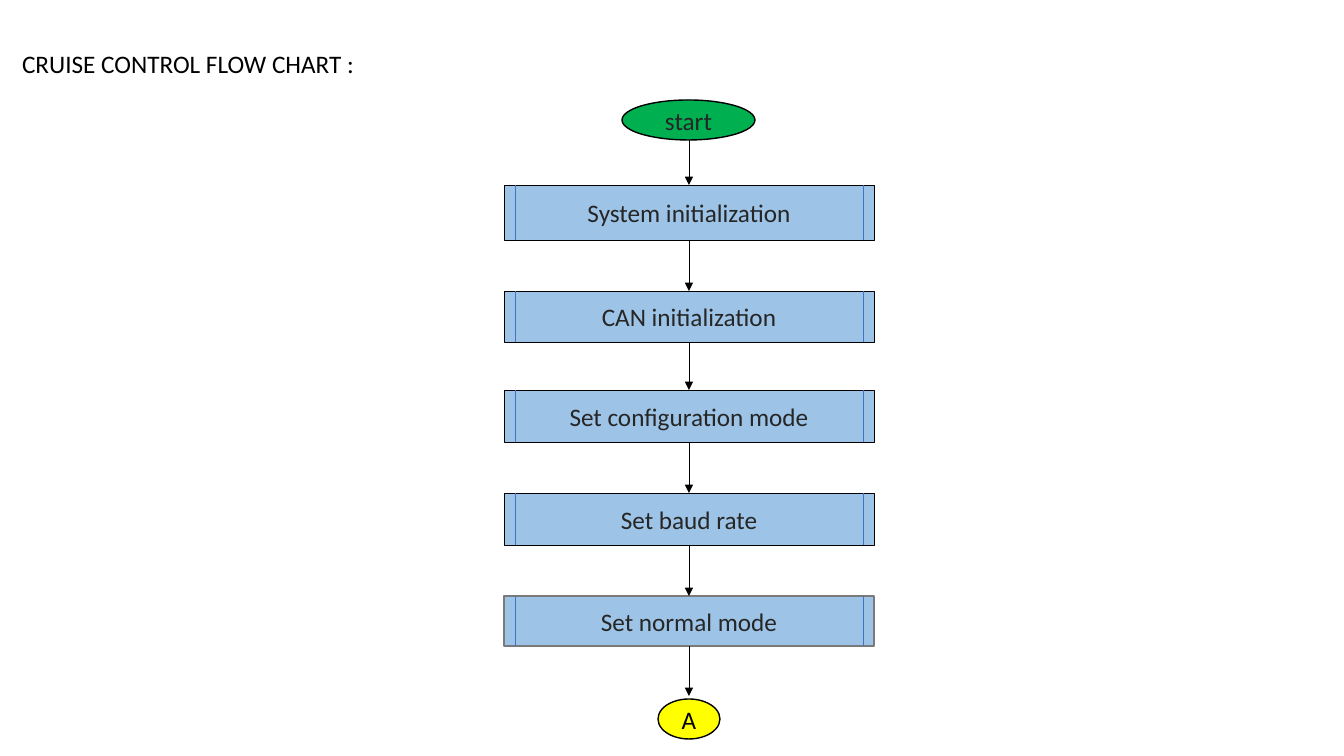
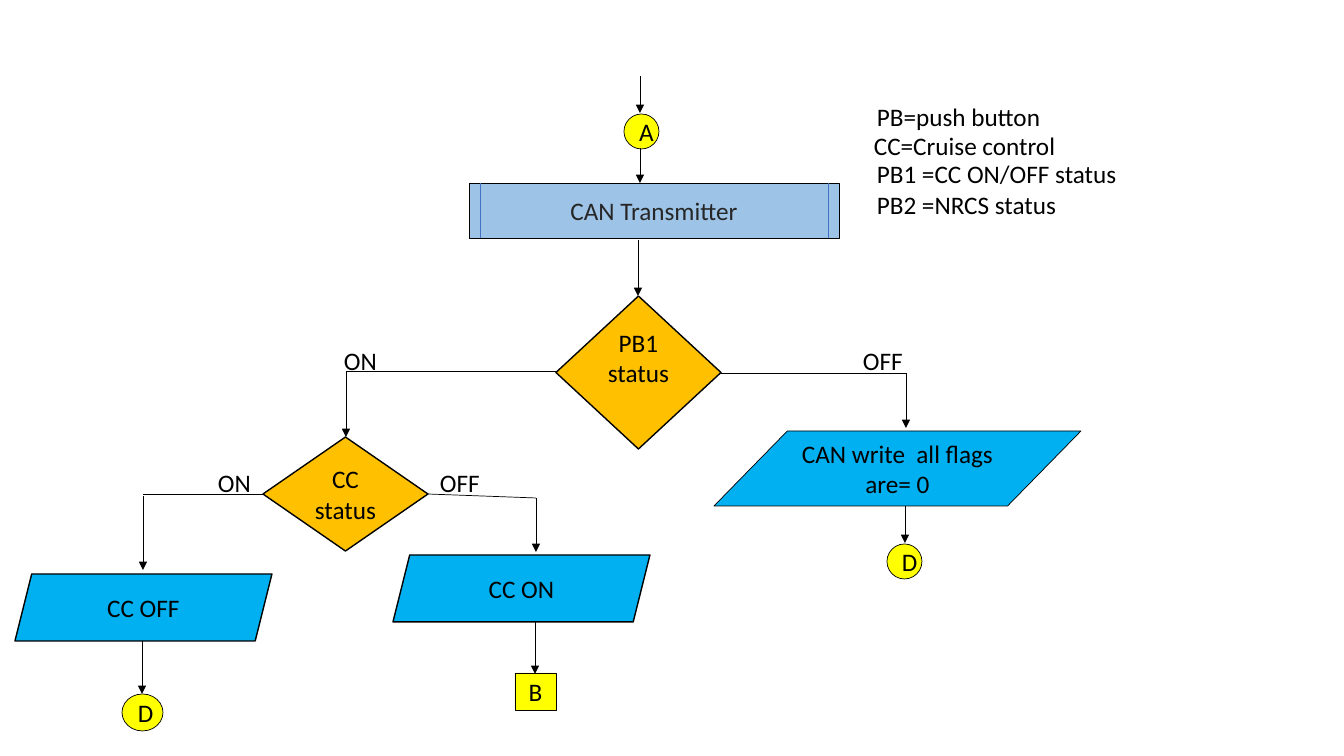
from lxml import etree
from pptx import Presentation
from pptx.dml.color import RGBColor
from pptx.enum.shapes import MSO_CONNECTOR, MSO_SHAPE as Kind
from pptx.enum.text import MSO_ANCHOR as Anchor, MSO_AUTO_SIZE as AutoSize, PP_ALIGN as Align
from pptx.oxml.ns import qn
from pptx.util import Emu, Pt

PIXEL = 914400 / 100.8
FONT, SIZE = "Calibri", 18
COLORS = {
    "black": "000000", "ink": "262626", "gray": "7A7A7A", "bar": "4472C4",
    "step": "9DC3E6", "start": "00B050", "mark": "FFFF00",
    "choice": "FFC000", "action": "00B0F0",
}
COLORS = {name: RGBColor.from_string(value) for name, value in COLORS.items()}

# Node styles: preset shape, fill, text colour
STYLES = {
    "step": (Kind.FLOWCHART_PROCESS, "step", "ink"),
    "start": (Kind.OVAL, "start", "ink"),
    "mark": (Kind.OVAL, "mark", "black"),
    "square mark": (Kind.RECTANGLE, "mark", "black"),
    "choice": (Kind.DIAMOND, "choice", "black"),
    "output": (Kind.FLOWCHART_DATA, "action", "black"),
    "action": (Kind.PARALLELOGRAM, "action", "black"),
}
BAR_INSET = 11


def write(box, at, text, align, anchor, color):
    """Place a box and fill it with one paragraph per line of text."""
    box.left, box.top, box.width, box.height = (Emu(round(n * PIXEL)) for n in at)
    frame = box.text_frame
    frame.word_wrap = True
    frame.auto_size = AutoSize.NONE
    frame.vertical_anchor = anchor
    for index, line in enumerate(text.split("\n")):
        para = frame.add_paragraph() if index else frame.paragraphs[0]
        para.alignment = align
        span = para.add_run()
        span.text = line
        span.font.name, span.font.size = FONT, Pt(SIZE)
        span.font.color.rgb = COLORS[color]


def connect(page, ends, color="black", arrow=True):
    """Draw a thin straight line, with an arrowhead at its end if asked."""
    line = page.shapes.add_connector(
        MSO_CONNECTOR.STRAIGHT, *(Emu(round(n * PIXEL)) for n in ends))
    line.line.width = Pt(0.5)
    line.line.color.rgb = COLORS[color]
    if arrow:
        etree.SubElement(line.line._get_or_add_ln(), qn("a:tailEnd"), type="triangle")
    etree.SubElement(line._element.spPr, qn("a:effectLst"))


# Slide 1: a column of steps around one centre line
CENTER, STEP_WIDTH = 689, 370
STEPS = [
    ("System initialization", 185, 55, "black", 0.5),
    ("CAN initialization", 291, 51, "black", 0.5),
    ("Set configuration mode", 390, 52, "black", 0.5),
    ("Set baud rate", 493, 52, "black", 0.5),
    ("Set normal mode", 596, 50, "gray", 1),
]
setup_nodes = [("start", "start", (622, 100, 133, 40), "black", 1)]
setup_nodes += [("step", text, (CENTER - STEP_WIDTH // 2, top, STEP_WIDTH, height), edge, weight)
                for text, top, height, edge, weight in STEPS]
setup_nodes.append(("mark", "A", (658, 699, 62, 40), "black", 1))
setup_arrows = []
bottom = 140
for text, top, height, edge, weight in STEPS:
    setup_arrows.append((CENTER, bottom, CENTER, top))
    bottom = top + height
setup_arrows.append((CENTER, bottom, CENTER, 696))

# Slide 2: decisions on the push button and the cruise control
status_nodes = [
    ("mark", "A", (624, 114, 35, 35), "black", 0.5),
    ("step", "CAN Transmitter", (469, 183, STEP_WIDTH, 55), "black", 0.5),
    ("choice", "PB1\nstatus", (556, 296, 165, 153), "black", 1),
    ("choice", "CC status", (263, 437, 165, 114), "black", 1),
    ("output", "CAN write  all flags are= 0", (714, 431, 367, 75), "black", 0.5),
    ("action", "CC OFF", (15, 574, 257, 67), "black", 1),
    ("action", "CC ON", (393, 555, 257, 67), "black", 1),
    ("mark", "D", (887, 544, 35, 35), "black", 0.5),
    ("mark", "D", (122, 694, 41, 37), "black", 0.5),
    ("square mark", "B", (515, 673, 41, 37), "black", 0.5),
]
status_arrows = [
    (640, 76, 640, 113), (640, 148, 640, 183), (638, 240, 638, 296),
    (346, 371, 346, 437), (906, 373, 906, 428), (143, 496, 143, 570),
    (536, 498, 536, 552), (905, 506, 905, 543), (142, 641, 142, 694),
    (535, 622, 535, 674),
]
status_branches = [
    (557, 371, 346, 371), (721, 373, 907, 373),
    (428, 494, 536, 498), (143, 494, 263, 494),
]
status_labels = [
    ("ON", (334, 340, 60, 40)), ("OFF", (853, 340, 70, 40)),
    ("ON", (208, 462, 60, 40)), ("OFF", (430, 462, 70, 40)),
    ("PB=push button", (867, 96, 270, 40)),
    ("CC=Cruise control", (864, 125, 270, 40)),
    ("PB1 =CC ON/OFF status", (867, 153, 270, 40)),
    ("PB2 =NRCS status", (867, 184, 270, 40)),
]

PAGES = [
    ("CRUISE CONTROL FLOW CHART :", setup_nodes, setup_arrows, [], []),
    (None, status_nodes, status_arrows, status_branches, status_labels),
]

deck = Presentation()
deck.slide_width, deck.slide_height = Emu(round(1344 * PIXEL)), Emu(round(756 * PIXEL))
TITLE_ONLY, BLANK = deck.slide_layouts[5], deck.slide_layouts[6]

for title, nodes, arrows, branches, labels in PAGES:
    page = deck.slides.add_slide(TITLE_ONLY if title else BLANK)
    if title:
        write(page.shapes.title, (12, 43, 370, 40), title, Align.LEFT, Anchor.TOP, "black")

    # Nodes, with the two side bars of each step
    for style, text, at, edge, weight in nodes:
        kind, fill, ink = STYLES[style]
        box = page.shapes.add_shape(kind, 0, 0, 0, 0)
        box.shadow.inherit = False
        box.fill.solid()
        box.fill.fore_color.rgb = COLORS[fill]
        box.line.color.rgb = COLORS[edge]
        box.line.width = Pt(weight)
        write(box, at, text, Align.CENTER, Anchor.MIDDLE, ink)
        if text == "PB1\nstatus":
            box.text_frame.margin_bottom = Emu(round(35 * PIXEL))
        if style == "step":
            left, top, width, height = at
            for x in (left + BAR_INSET, left + width - BAR_INSET):
                connect(page, (x, top, x, top + height), "bar", arrow=False)

    # Arrows and plain branches
    for ends in arrows:
        connect(page, ends)
    for ends in branches:
        connect(page, ends, arrow=False)

    # Branch labels and legend
    for text, at in labels:
        label = page.shapes.add_textbox(0, 0, 0, 0)
        write(label, at, text, Align.LEFT, Anchor.TOP, "black")

deck.save("out.pptx")
